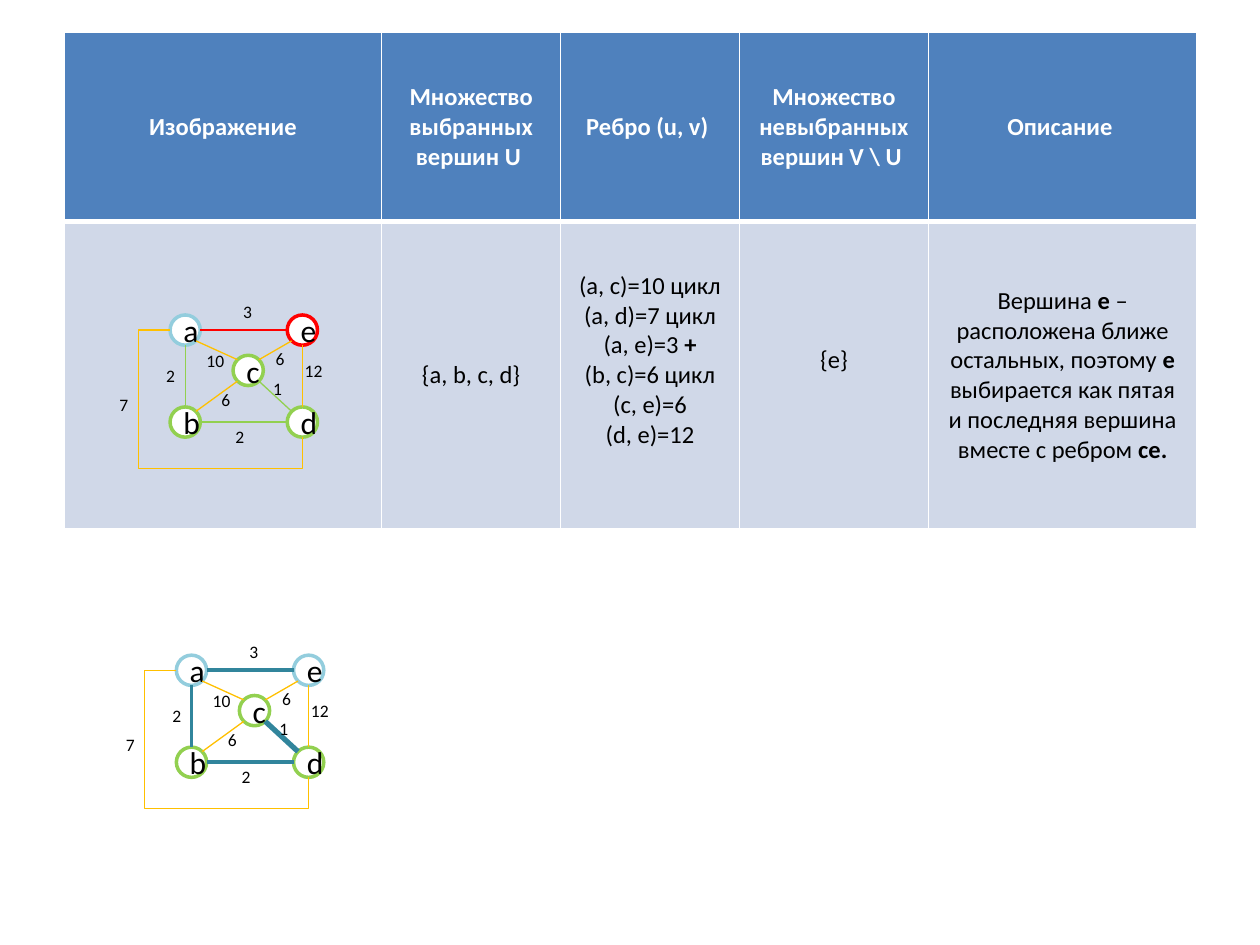
from dataclasses import dataclass

from lxml import etree
from pptx import Presentation
from pptx.dml.color import RGBColor
from pptx.enum.shapes import MSO_CONNECTOR, MSO_SHAPE
from pptx.enum.text import MSO_ANCHOR, MSO_AUTO_SIZE, PP_ALIGN
from pptx.oxml.ns import qn
from pptx.util import Inches, Pt

STRAIGHT, ELBOW = MSO_CONNECTOR.STRAIGHT, MSO_CONNECTOR.ELBOW
OVAL = MSO_SHAPE.OVAL
MIDDLE = MSO_ANCHOR.MIDDLE
GROW = MSO_AUTO_SIZE.SHAPE_TO_FIT_TEXT
CENTER, LEFT = PP_ALIGN.CENTER, PP_ALIGN.LEFT


@dataclass(frozen=True)
class Theme:
    font: str = "Calibri"
    table_size: int = 14
    node_size: int = 18
    label_size: int = 10
    black: str = "000000"
    white: str = "FFFFFF"
    header: str = "4F81BD"
    body: str = "D0D8E8"
    green: str = "92D050"
    red: str = "FF0000"
    blue: str = "93CDDD"
    orange: str = "FFC000"
    teal: str = "31859C"


theme = Theme()


def format_paragraph(paragraph, size, color, alignment):
    paragraph.alignment = alignment
    paragraph.font.name = theme.font
    paragraph.font.size = Pt(size)
    paragraph.font.color.rgb = RGBColor.from_string(color)


def add_line(kind, start, end, color, width):
    line = slide.shapes.add_connector(kind, *(Inches(value) for value in (*start, *end)))
    line.line.color.rgb = RGBColor.from_string(color)
    line.line.width = Pt(width)
    etree.SubElement(line._element.spPr, qn("a:effectLst"))
    return line


presentation = Presentation()
presentation.slide_width = Inches(10)
presentation.slide_height = Inches(7.5)
slide = presentation.slides.add_slide(presentation.slide_layouts[6])

column_widths = [2.52, 1.42, 1.42, 1.5, 2.13]
row_heights = [1.5, 2.44]
headers = ["Изображение", "Множество выбранных вершин U ", "Ребро (u, v) ",
           "Множество невыбранных вершин V \\ U ", "Описание "]
edge_list = [[("(a, c)=10 цикл", False)], [("(a, d)=7 цикл", False)],
             [("(a, e)=3 ", False), ("+", True)], [("(b, c)=6 цикл", False)],
             [("(c, e)=6", False)], [("(d, e)=12", False)]]
description = [("Вершина ", False), ("e", True),
               (" – расположена ближе остальных, поэтому ", False), ("e ", True),
               ("выбирается как пятая и последняя вершина вместе с ребром ", False),
               ("ce.", True)]
rows = [[[[(header, True)]] for header in headers],
        [[], [[("{a, b, c, d}", False)]], edge_list, [[("{e}", False)]], [description]]]

table = slide.shapes.add_table(2, 5, Inches(0.51), Inches(0.26),
                               Inches(sum(column_widths)), Inches(sum(row_heights))).table
for column, width in zip(table.columns, column_widths):
    column.width = Inches(width)
for row, height in zip(table.rows, row_heights):
    row.height = Inches(height)

for row_index, row in enumerate(rows):
    is_header = row_index == 0
    for column_index, paragraphs in enumerate(row):
        cell = table.cell(row_index, column_index)
        cell.vertical_anchor = MIDDLE
        if not is_header and column_index in (2, 3):
            cell.margin_bottom = Inches(0.29)
        properties = cell._tc.get_or_add_tcPr()
        for side in "LRTB":
            heavy = side == ("B" if is_header else "T")
            border = etree.SubElement(properties, qn(f"a:ln{side}"), w=str(Pt(3 if heavy else 1)))
            fill = etree.SubElement(border, qn("a:solidFill"))
            etree.SubElement(fill, qn("a:srgbClr"), val=theme.white)
        cell.fill.solid()
        cell.fill.fore_color.rgb = RGBColor.from_string(theme.header if is_header else theme.body)
        for index, runs in enumerate(paragraphs):
            frame = cell.text_frame
            paragraph = frame.add_paragraph() if index else frame.paragraphs[0]
            format_paragraph(paragraph, theme.table_size,
                             theme.white if is_header else theme.black, CENTER)
            for text, bold in runs:
                run = paragraph.add_run()
                run.text = text
                run.font.bold = bold

diameter = 0.24
radius = diameter / 2
nodes = {"b": (0, 0.73), "e": (0.93, 0), "c": (0.5, 0.32), "d": (0.93, 0.73), "a": (0, 0)}
labels = [("1", 0.72, 0.45), ("6", 0.31, 0.54), ("6", 0.74, 0.21), ("7", -0.5, 0.58),
          ("12", 0.97, 0.31), ("2", -0.13, 0.35), ("2", 0.42, 0.83), ("3", 0.58, -0.16),
          ("10", 0.19, 0.23)]
cycle_edges = {edge: (theme.orange, 0.75) for edge in ("ce", "ac", "bc", "ed")}
graphs = [
    (1.35, 2.5, theme.red,
     {"cd": (theme.green, 0.75), "ab": (theme.green, 0.75),
      "bd": (theme.green, 0.75), "ae": (theme.red, 0.75)}),
    (1.4, 5.2, theme.blue,
     {"cd": (theme.teal, 3), "ab": (theme.teal, 2.25),
      "bd": (theme.teal, 2.25), "ae": (theme.teal, 2.25)}),
]

for left, top, last_color, tree_edges in graphs:
    node_colors = {"a": theme.blue, "e": last_color}
    centers = {}
    for name, (x, y) in nodes.items():
        centers[name] = (left + x + radius, top + y + radius)
        node = slide.shapes.add_shape(OVAL, Inches(left + x), Inches(top + y),
                                      Inches(diameter), Inches(diameter))
        node.shadow.inherit = False
        node.fill.solid()
        node.fill.fore_color.rgb = RGBColor.from_string(theme.white)
        node.line.color.rgb = RGBColor.from_string(node_colors.get(name, theme.green))
        node.line.width = Pt(2)
        node.text_frame.text = name
        node.text_frame.vertical_anchor = MIDDLE
        format_paragraph(node.text_frame.paragraphs[0], theme.node_size, theme.black, CENTER)

    for (first, second), (color, width) in {**tree_edges, **cycle_edges}.items():
        start, end = centers[first], centers[second]
        signs = [(b > a) - (b < a) for a, b in zip(start, end)]
        reach = radius * (0.71 if all(signs) else 1)
        add_line(STRAIGHT, [value + sign * reach for value, sign in zip(start, signs)],
                 [value - sign * reach for value, sign in zip(end, signs)], color, width)

    (a_x, a_y), (d_x, d_y) = centers["a"], centers["d"]
    detour = add_line(ELBOW, (a_x - radius, a_y), (d_x, d_y + radius), theme.orange, 0.75)
    geometry = detour._element.spPr.find(qn("a:prstGeom"))
    geometry.set("prst", "bentConnector4")
    guides = geometry.find(qn("a:avLst"))
    for name, value in (("adj1", -23900), ("adj2", 129300)):
        etree.SubElement(guides, qn("a:gd"), name=name, fmla=f"val {value}")

    for text, x, y in labels:
        wraps = text == "3"
        width = 0.05 if wraps else 0.2 + 0.07 * len(text)
        label = slide.shapes.add_textbox(Inches(left + x), Inches(top + y),
                                         Inches(width), Inches(0.27))
        label.text_frame.text = text
        label.text_frame.word_wrap = wraps
        label.text_frame.auto_size = GROW
        format_paragraph(label.text_frame.paragraphs[0], theme.label_size, theme.black, LEFT)

presentation.save("out.pptx")
